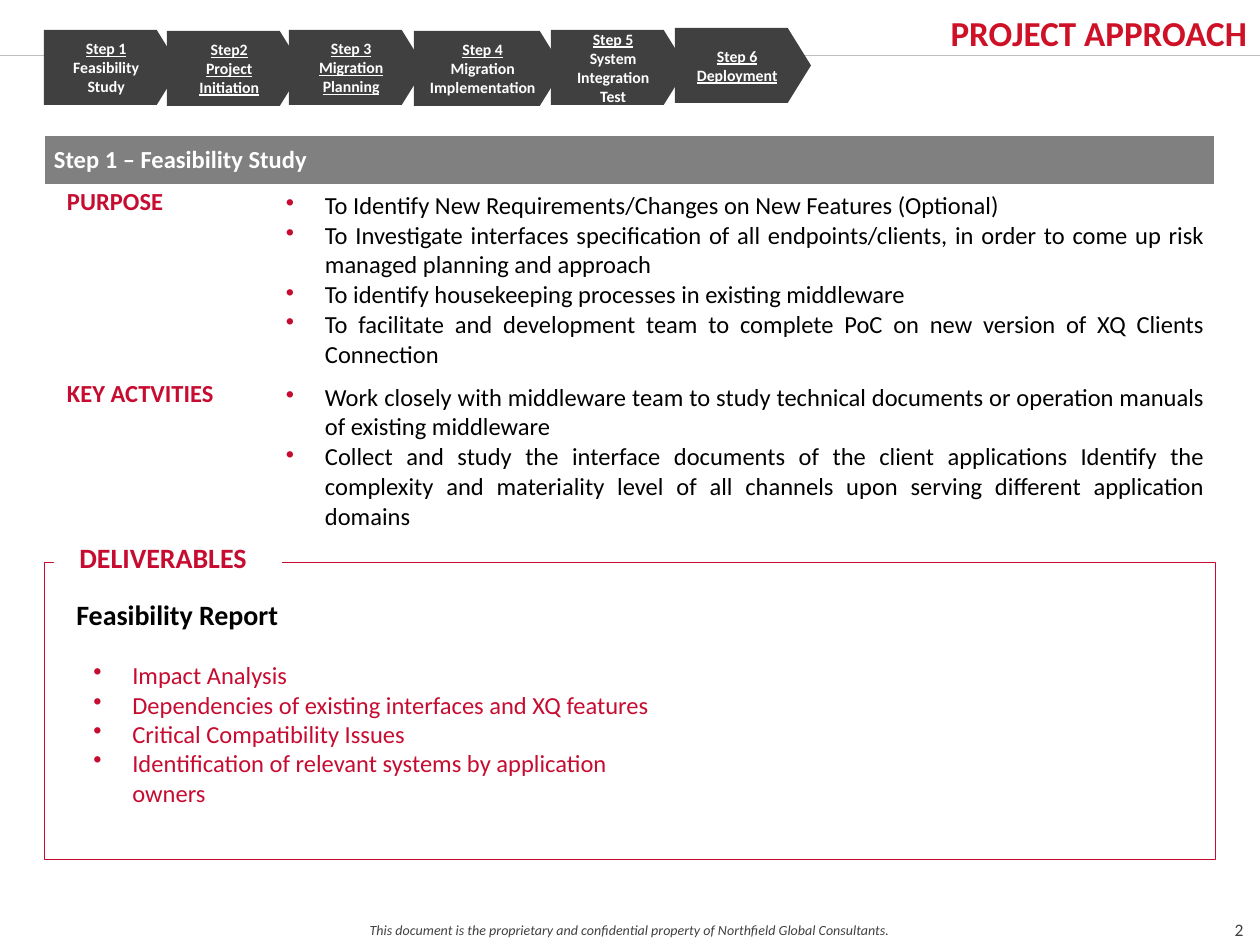
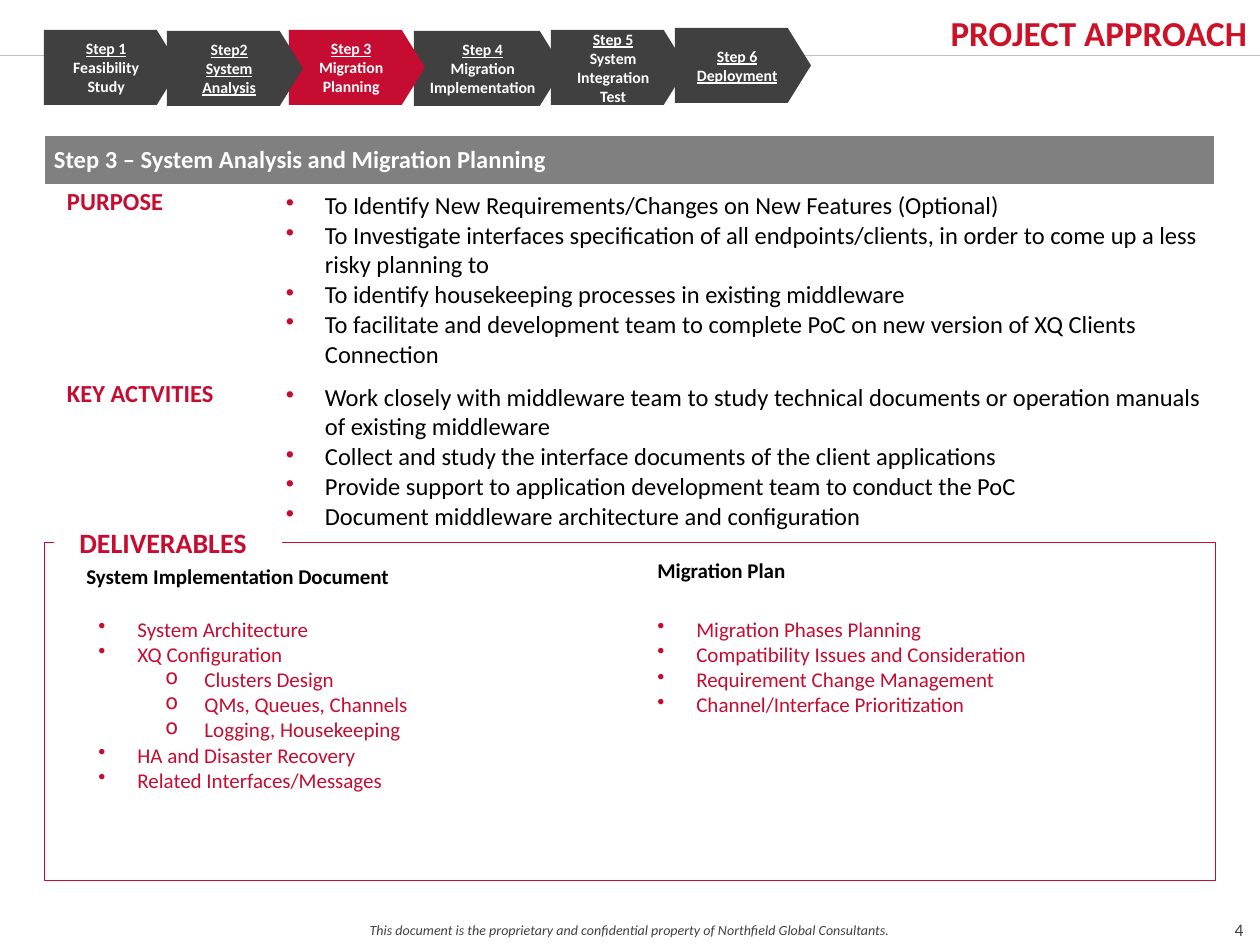
from lxml.etree import SubElement as Sub
from pptx import Presentation
from pptx.dml.color import RGBColor as Color
from pptx.enum.shapes import MSO_CONNECTOR as Wire, MSO_SHAPE as Form
from pptx.enum.text import MSO_ANCHOR as Anchor, PP_ALIGN as Align
from pptx.oxml.ns import qn
from pptx.util import Emu, Pt

RED = Color(0xC6, 0x0C, 0x30)
TITLE = Color(0xCE, 0x11, 0x26)
DARK = Color(0x40, 0x40, 0x40)
GREY = Color(0x80, 0x80, 0x80)
PALE = Color(0xBF, 0xBF, 0xBF)
BLACK = Color(0, 0, 0)
WHITE = Color(0xFF, 0xFF, 0xFF)

FACE = "Calibri"
MID = {"alignment": Align.CENTER}
LABEL = {"line_spacing": Pt(15)}
FOOT = "This document is the proprietary and confidential property of Northfield Global Consultants."
TOP = (
    "To Identify New Requirements/Changes on New Features (Optional)",
    "To identify housekeeping processes in existing middleware",
    "To facilitate and development team to complete PoC on new version of XQ Clients Connection",
)
WORK = "Work closely with middleware team to study technical documents or operation manuals of existing middleware"


def px(n):
    return Emu(round(n * 914400 / 126))


def put(item, form):
    for key, value in form.items():
        setattr(item, key, value)


def pad(frame, left, top, right, low):
    put(frame, {"margin_left": px(left), "margin_top": px(top),
                "margin_right": px(right), "margin_bottom": px(low)})


def write(frame, lines, size, hue, bold=False, italic=False, para={}):
    frame.word_wrap = True
    for n, line in enumerate(lines):
        part = frame.add_paragraph() if n else frame.paragraphs[0]
        put(part, para)
        run = part.add_run()
        run.text = line
        put(run.font, {"name": FACE, "size": Pt(size), "bold": bold, "italic": italic})
        run.font.color.rgb = hue


def indent(part, left, first=0):
    props = part._p.get_or_add_pPr()
    props.set("marL", str(px(left)))
    props.set("indent", str(px(first)))
    return props


def points(frame, lines, size, hue, para={}):
    write(frame, [line.lstrip(">") for line in lines], size, hue, para=para)
    for part, line in zip(frame.paragraphs, lines):
        deep = line.startswith(">")
        part.level = int(deep)
        props = indent(part, 106 if deep else 39, -39)
        tint = Sub(Sub(props, qn("a:buClr")), qn("a:srgbClr"))
        tint.set("val", str(RED))
        Sub(props, qn("a:buChar")).set("char", "o" if deep else "•")


def note(slide, box):
    return slide.shapes.add_textbox(*map(px, box)).text_frame


def block(slide, kind, box, fill=None, line=None):
    item = slide.shapes.add_shape(kind, *map(px, box))
    item.shadow.inherit = False
    if fill is None:
        item.fill.background()
    else:
        item.fill.solid()
        item.fill.fore_color.rgb = fill
    if line is None:
        item.line.fill.background()
    else:
        item.line.color.rgb = line
        item.line.width = Pt(0.25)
    return item


def base(deck, page):
    slide = deck.slides.add_slide(deck.slide_layouts[5])
    rule = slide.shapes.add_connector(Wire.STRAIGHT, *map(px, (0, 55, 1260, 55)))
    rule.line.color.rgb = PALE
    rule.line.width = Pt(0.5)
    Sub(rule._element.spPr, qn("a:effectLst"))
    head = slide.shapes.title
    put(head, dict(zip(("left", "top", "width", "height"), map(px, (505, 3, 755, 53)))))
    frame = head.text_frame
    frame.vertical_anchor = Anchor.TOP
    pad(frame, 0, 9, 13, 9)
    write(frame, ["PROJECT APPROACH"], 20, TITLE, True, para={"alignment": Align.RIGHT})
    write(note(slide, (0, 915, 1260, 30)), [FOOT], 8, DARK, italic=True, para=MID)
    frame = note(slide, (1210, 902, 58, 54))
    frame.vertical_anchor = Anchor.MIDDLE
    write(frame, [page], 10, DARK, para=MID)
    return slide


def chain(slide, box, second, live, lined):
    left, top, wide, high = box
    steps = (
        (0, 2, 0, "Step 1", "Feasibility Study"),
        (123, 3, 0, "Step2", second),
        (245, 2, 0, "Step 3", "Migration Planning"),
        (370, 3, 13, "Step 4", "Migration Implementation"),
        (507, 2, 0, "Step 5", "System Integration Test"),
        (631, 0, 0, "Step 6", "Deployment"),
    )
    for n, (x, y, more, name, task) in reversed(list(enumerate(steps, 1))):
        spot = (left + x, top + y, wide + more, high)
        item = block(slide, Form.PENTAGON, spot, RED if n == live else DARK)
        item.adjustments[0] = 0.31
        frame = item.text_frame
        frame.vertical_anchor = Anchor.MIDDLE
        write(frame, [name, task], 9, WHITE, True, para=MID)
        for part, line in zip(frame.paragraphs, (True, n in lined)):
            part.runs[0].font.underline = line


def grid(slide, box, head, rows, last, para):
    left, top, wide, high = box
    table = slide.shapes.add_table(3, 2, *map(px, box)).table
    for col, size in zip(table.columns, (232, wide - 232)):
        col.width = px(size)
    for row, size in zip(table.rows, (50, high - 50 - last, last)):
        row.height = px(size)
    for n, row in enumerate(table.rows):
        for cell in row.cells:
            cell.fill.solid()
            cell.fill.fore_color.rgb = WHITE if n else GREY
            pad(cell, 10, 6, 10, 6)
    first = table.cell(0, 0)
    first.merge(table.cell(0, 1))
    first.vertical_anchor = Anchor.MIDDLE
    write(first.text_frame, [head], 14, WHITE, True)
    for n, (name, lines) in enumerate(zip(("PURPOSE", "KEY ACTVITIES"), rows), 1):
        frame = table.cell(n, 0).text_frame
        write(frame, [name], 14, RED, True, para=LABEL)
        indent(frame.paragraphs[0], 13)
        points(table.cell(n, 1).text_frame, lines, 14, BLACK, para)


def result(slide, box, rise, size, parts):
    left, top, wide, high = box
    block(slide, Form.RECTANGLE, box, line=RED)
    frame = block(slide, Form.RECTANGLE, (left + 10, top - rise, 228, 40), WHITE).text_frame
    frame.vertical_anchor = Anchor.TOP
    write(frame, ["DELIVERABLES"], 16, RED, True, para={**LABEL, "alignment": Align.LEFT})
    indent(frame.paragraphs[0], 13)
    for name, (x, y, w, h), lines, (u, v, span, tall) in parts:
        write(note(slide, (left + x, top + y, w, h)), [name], size + (size == 14) * 2, BLACK, True)
        points(note(slide, (left + u, top + v, span, tall)), lines, size, RED)


def main():
    deck = Presentation()
    put(deck, {"slide_width": px(1260), "slide_height": px(945)})

    slide = base(deck, "2")
    purpose = [TOP[0], "To Investigate interfaces specification of all endpoints/clients, in order to come up "
               "risk managed planning and approach", *TOP[1:]]
    acts = [WORK, "Collect and study the interface documents of the client applications Identify the complexity "
            "and materiality level of all channels upon serving different application domains"]
    grid(slide, (44, 135, 1171, 459), "Step 1 – Feasibility Study", (purpose, acts), 217,
         {"alignment": Align.JUSTIFY})
    result(slide, (44, 562, 1171, 297), 20, 14, [
        ("Feasibility Report", (20, 29, 556, 47),
         ["Impact Analysis", "Dependencies of existing interfaces and XQ features",
          "Critical Compatibility Issues", "Identification of relevant systems by application owners"],
         (37, 92, 595, 195))])
    chain(slide, (44, 28, 136, 75), "Project Initiation", 0, (2, 3, 6))

    slide = base(deck, "4")
    purpose = [TOP[0], "To Investigate interfaces specification of all endpoints/clients, in order to come up "
               "a less risky planning to", *TOP[1:]]
    acts = [WORK, "Collect and study the interface documents of the client applications",
            "Provide support to application development team to conduct the PoC",
            "Document middleware architecture and configuration"]
    grid(slide, (44, 135, 1171, 410), "Step 3 – System Analysis and Migration Planning", (purpose, acts), 168, {})
    result(slide, (44, 542, 1171, 338), 15, 12, [
        ("System Implementation Document", (30, 15, 465, 38),
         ["System Architecture", "XQ Configuration", ">Clusters Design", ">QMs, Queues, Channels",
          ">Logging, Housekeeping", "HA and Disaster Recovery", "Related Interfaces/Messages"],
         (42, 68, 522, 190)),
        ("Migration Plan", (601, 9, 465, 38),
         ["Migration Phases Planning", "Compatibility Issues and Consideration",
          "Requirement Change Management", "Channel/Interface Prioritization"],
         (601, 68, 566, 140))])
    chain(slide, (44, 28, 136, 75), "System Analysis", 3, (2, 6))

    deck.save("out.pptx")


if __name__ == "__main__":
    main()
